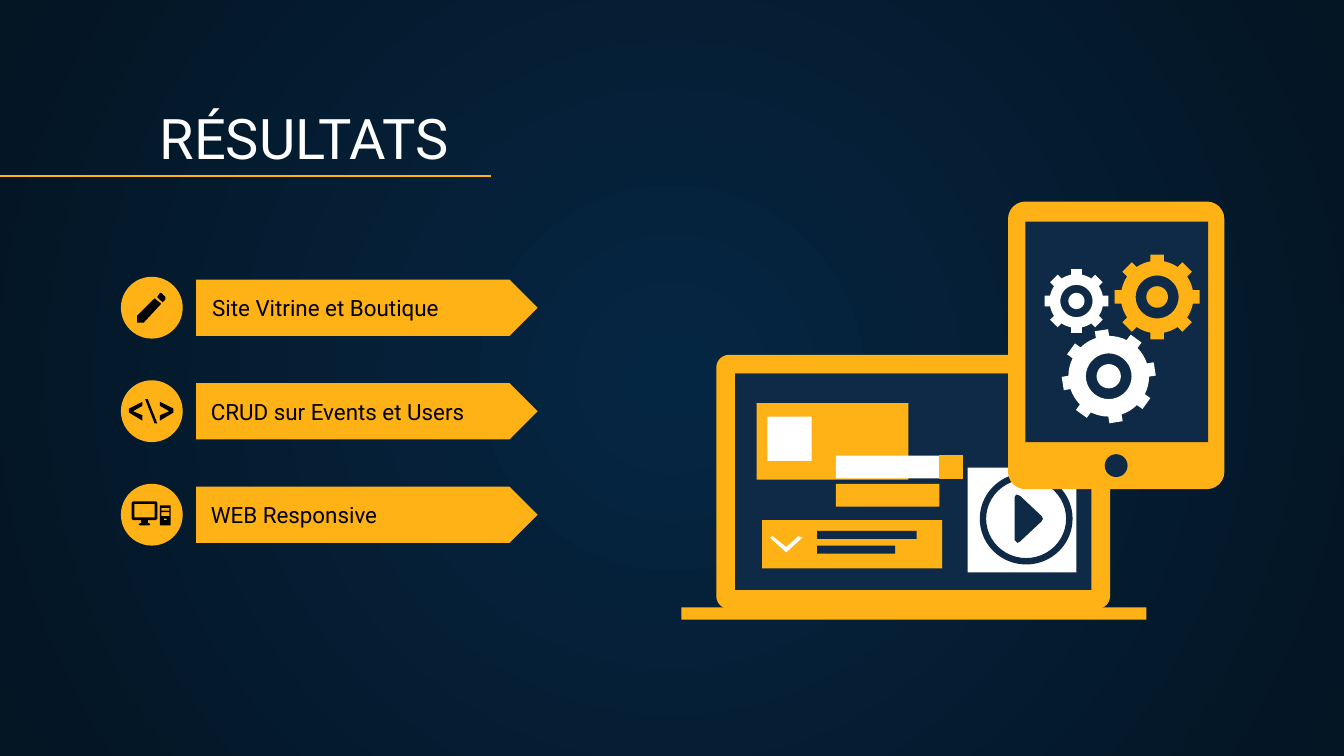
import math
import pptx
import pptx.util
import pptx.dml.color
import pptx.enum.shapes
import pptx.enum.text
import pptx.oxml
import pptx.oxml.ns
from lxml import etree

Inches = pptx.util.Inches
RGBColor = pptx.dml.color.RGBColor
KIND = pptx.enum.shapes.MSO_SHAPE
qn = pptx.oxml.ns.qn

GOLD = RGBColor(0xFF, 0xB2, 0x15)
NAVY = RGBColor(0x0E, 0x2A, 0x47)
WHITE = RGBColor(0xFF, 0xFF, 0xFF)
BLACK = RGBColor(0x00, 0x00, 0x00)
CENTER = RGBColor(0x05, 0x26, 0x43)
EDGE = RGBColor(0x04, 0x15, 0x23)

deck = pptx.Presentation()
deck.slide_width = Inches(10)
deck.slide_height = Inches(10 * 9 / 16)
slide = deck.slides.add_slide(deck.slide_layouts[6])
shapes = slide.shapes

back = slide.background.fill
back.gradient()
for stop, color in zip(back.gradient_stops, (CENTER, EDGE)):
    stop.color.rgb = color
grad = slide.element.find(".//" + qn("a:gradFill"))
grad.remove(grad.find(qn("a:lin")))
glow = etree.SubElement(grad, qn("a:path"), path="circle")
etree.SubElement(glow, qn("a:fillToRect"), l="50000", t="50000", r="50000", b="50000")


def paint(shape, color):
    shape.shadow.inherit = False
    shape.fill.solid()
    shape.fill.fore_color.rgb = color
    shape.line.fill.background()


def draw(color, *rings):
    rings = [[(Inches(x), Inches(y)) for x, y in ring] for ring in rings]
    pen = shapes.build_freeform(*rings[0][0])
    for ring in rings:
        pen.move_to(*ring[0])
        pen.add_line_segments(ring[1:], close=True)
    paint(pen.convert_to_shape(), color)


rule = shapes.add_connector(pptx.enum.shapes.MSO_CONNECTOR.STRAIGHT,
                            Inches(0), Inches(1.31), Inches(3.65), Inches(1.31))
rule.line.color.rgb = GOLD
rule.line.width = pptx.util.Pt(0.75)
etree.SubElement(rule.element.spPr, qn("a:effectLst"))

labels = [("RÉSULTATS", 1.09, 0.71, 8.57, 0.66, 30, WHITE)]
items = [("Site Vitrine et Boutique", 1.48), ("CRUD sur Events et Users", 1.47),
         ("WEB Responsive", 1.47)]
parts = []
for row, (item, left) in enumerate(items):
    top = 2.08 + row * 0.77
    parts.append((KIND.PENTAGON, GOLD, 1.46, top, 2.54, 0.42, 0.5))
    parts.append((KIND.OVAL, GOLD, 0.9, top - 0.02, 0.46, 0.46, None))
    labels.append((item, left, top + 0.2, 2.27, 0.21, 12, BLACK))

RECT, ROUND = KIND.RECTANGLE, KIND.ROUNDED_RECTANGLE
parts += [
    (ROUND, GOLD, 5.33, 2.64, 2.93, 1.89, 0.05),
    (RECT, NAVY, 5.47, 2.78, 2.65, 1.61, None),
    (RECT, GOLD, 5.07, 4.52, 3.46, 0.09, None),
    (RECT, NAVY, 5.47, 2.78, 2.65, 0.15, None),
    (RECT, GOLD, 5.63, 3, 1.13, 0.57, None),
    (RECT, WHITE, 5.71, 3.1, 0.33, 0.33, None),
    (RECT, GOLD, 6.02, 3.87, 0.99, 0.36, None),
    (RECT, NAVY, 6.08, 3.95, 0.74, 0.06, None),
    (RECT, NAVY, 6.08, 4.06, 0.58, 0.06, None),
    (RECT, GOLD, 5.67, 3.87, 0.35, 0.36, None),
    (RECT, GOLD, 6.22, 3.6, 0.77, 0.17, None),
    (RECT, WHITE, 6.22, 3.39, 0.77, 0.17, None),
    (RECT, WHITE, 7.2, 3.48, 0.81, 0.78, None),
    (KIND.DONUT, NAVY, 7.29, 3.52, 0.69, 0.68, 0.07),
    (ROUND, GOLD, 7.5, 1.5, 1.61, 2.14, 0.08),
    (RECT, NAVY, 7.63, 1.65, 1.36, 1.64, None),
    (KIND.OVAL, NAVY, 8.22, 3.38, 0.17, 0.17, None),
    (RECT, GOLD, 6.99, 3.39, 0.17, 0.17, None),
]
for kind, color, left, top, width, height, bend in parts:
    part = shapes.add_shape(kind, Inches(left), Inches(top), Inches(width), Inches(height))
    if bend is not None:
        part.adjustments[0] = bend
    paint(part, color)
part.line.color.rgb = GOLD
part.line.width = pptx.util.Pt(0.75)

for text, left, top, width, height, size, color in labels:
    frame = shapes.add_textbox(Inches(left), Inches(top), Inches(width), Inches(height)).text_frame
    frame.word_wrap = True
    frame.vertical_anchor = pptx.enum.text.MSO_ANCHOR.BOTTOM
    frame.margin_left = frame.margin_right = Inches(0.1)
    frame.margin_top = frame.margin_bottom = Inches(0.1)
    frame.text = text
    font = frame.paragraphs[0].runs[0].font
    font.name = "Roboto"
    font.size = pptx.util.Pt(size)
    font.color.rgb = color

draw(BLACK,
     [(1.19, 2.18), (1.17, 2.21), (1.21, 2.25), (1.23, 2.23), (1.23, 2.21), (1.2, 2.18)],
     [(1.15, 2.22), (1.02, 2.35), (1.02, 2.4), (1.07, 2.4), (1.2, 2.26)])

angle = [(1.06, 3.13), (0.96, 3.07), (0.96, 3.04), (1.06, 2.99),
         (1.06, 3.02), (0.99, 3.06), (1.06, 3.09)]
draw(BLACK, angle)
draw(BLACK, [(1.15, 3.15), (1.08, 2.97), (1.1, 2.97), (1.17, 3.15)])
draw(BLACK, [(2.25 - x, y) for x, y in angle])

draw(BLACK,
     [(0.99, 3.73), (1.16, 3.73), (1.17, 3.74), (1.17, 3.86), (1.16, 3.87), (1.1, 3.87),
      (1.1, 3.89), (1.12, 3.9), (1.11, 3.91), (1.04, 3.91), (1.03, 3.9), (1.05, 3.89),
      (1.05, 3.87), (0.99, 3.87), (0.98, 3.86), (0.98, 3.74)],
     [(1, 3.75), (1.15, 3.75), (1.15, 3.85), (1, 3.85)])
draw(BLACK, *[[(l, t), (r, t), (r, b), (l, b)] for l, t, r, b in [
    (1.19, 3.76, 1.27, 3.91), (1.2, 3.78, 1.26, 3.8),
    (1.2, 3.81, 1.26, 3.84), (1.22, 3.86, 1.24, 3.87)]])

draw(WHITE, [(5.73, 4), (5.75, 3.99), (5.85, 4.07), (5.94, 3.99), (5.97, 4),
             (5.96, 4.01), (5.85, 4.11), (5.74, 4.01)])
draw(NAVY, [(7.55, 3.7), (7.56, 3.68), (7.59, 3.69), (7.75, 3.84), (7.76, 3.86),
            (7.75, 3.88), (7.59, 4.03), (7.57, 4.04), (7.55, 4.02)])

gears = [(GOLD, 8.61, 2.21, 0.32, 0.27, 0.05, 0.16, 0.08, 0),
         (WHITE, 8.01, 2.24, 0.24, 0.2, 0.04, 0.12, 0.06, 0),
         (WHITE, 8.25, 2.8, 0.35, 0.3, 0.05, 0.17, 0.09, -9)]
for color, x, y, tip, root, half, hole, hub, turn in gears:
    rim = []
    for tooth in range(8):
        mid = math.radians(turn + tooth * 45)
        side = math.asin(half / root)
        rim += [(root, mid - side), (tip, mid - math.asin(half / tip)),
                (tip, mid + math.asin(half / tip)), (root, mid + side)]
        gap = math.radians(45) - 2 * side
        rim += [(root, mid + side + gap * step / 4) for step in (1, 2, 3)]
    rings = [rim] + [[(size, math.radians(step * 10)) for step in range(36)]
                     for size in (hole, hub)]
    draw(color, *[[(x + size * math.cos(way), y + size * math.sin(way))
                   for size, way in ring] for ring in rings])

deck.save("out.pptx")
